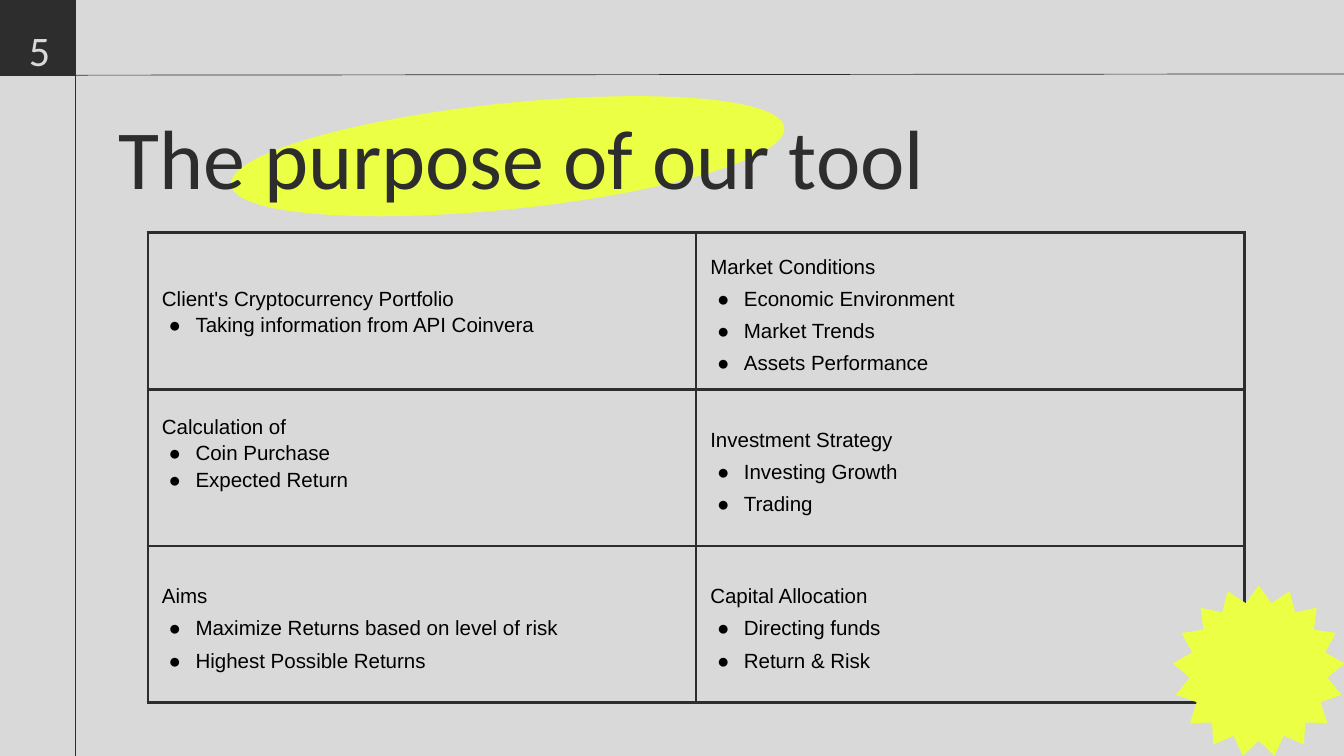
import math
from typing import NamedTuple

from pptx import Presentation
from pptx import util as u
from pptx.dml.color import RGBColor
from pptx.enum import shapes, text
from pptx.oxml import ns
from lxml import etree

DARK, PALE, LIME, BLACK = "2D2D2D", "D9D9D9", "EBFF45", "000000"


class Topic(NamedTuple):
    head: str
    items: list[str]
    gap: float = 1.4
    foot: float = 0.21


class Rule(NamedTuple):
    x1: float
    y1: float
    x2: float
    y2: float


GRID = [
    [Topic("Client's Cryptocurrency Portfolio",
           ["Taking information from API Coinvera"], 1.15),
     Topic("Market Conditions",
           ["Economic Environment", "Market Trends", "Assets Performance"])],
    [Topic("Calculation of", ["Coin Purchase", "Expected Return"], 1.15, 0.67),
     Topic("Investment Strategy", ["Investing Growth", "Trading"])],
    [Topic("Aims", ["Maximize Returns based on level of risk",
                    "Highest Possible Returns"]),
     Topic("Capital Allocation", ["Directing funds", "Return & Risk"])],
]
RULES = [Rule(1.12, 0, 1.12, 11.25), Rule(20, 1.1, 0, 1.12)]


def paint(part, code: str) -> None:
    """Give a fill, line or font a solid colour."""
    if hasattr(part, "solid"):
        part.solid()
        part.fore_color.rgb = RGBColor.from_string(code)
    else:
        part.color.rgb = RGBColor.from_string(code)


def node(up, tag: str, **attrs: str):
    return etree.SubElement(up, ns.qn(tag), attrs)


def write(para, words: str, face: str, size: float, code: str) -> None:
    run = para.add_run()
    run.text = words
    run.font.name = face
    run.font.size = u.Pt(size)
    paint(run.font, code)


def style(shape, code: str) -> None:
    shape.shadow.inherit = False
    paint(shape.fill, code)
    shape.line.fill.background()


def draw_rule(slide, rule: Rule) -> None:
    line = slide.shapes.add_connector(
        shapes.MSO_CONNECTOR.STRAIGHT, *map(u.Inches, rule))
    paint(line.line, DARK)
    line.line.width = u.Pt(0.75)
    node(line._element.spPr, "a:effectLst")


def draw_star(slide, x: float, y: float, tips: int, far: float,
              near: float) -> None:
    dots = []
    for i in range(2 * tips):
        turn, reach = math.pi * i / tips, near if i % 2 else far
        dots.append((u.Inches(x + reach * math.sin(turn)),
                     u.Inches(y - reach * math.cos(turn))))
    form = slide.shapes.build_freeform(*dots[0])
    form.add_line_segments(dots[1:], close=True)
    style(form.convert_to_shape(), LIME)


def add_label(slide, box: tuple[float, ...], words: str, size: float,
              code: str):
    frame = slide.shapes.add_textbox(*map(u.Inches, box)).text_frame
    frame.word_wrap = True
    frame.auto_size = text.MSO_AUTO_SIZE.SHAPE_TO_FIT_TEXT
    frame.margin_left = frame.margin_right = 0
    frame.margin_top = frame.margin_bottom = 0
    para = frame.paragraphs[0]
    write(para, words, "Calibri", size, code)
    return para


def add_edges(cell) -> None:
    props = cell._tc.get_or_add_tcPr()
    for i, side in enumerate("LRTB"):
        edge = node(props, f"a:ln{side}", w=str(u.Pt(3)))
        node(node(edge, "a:solidFill"), "a:srgbClr", val=DARK)
        props.insert(i, edge)


def fill_cell(cell, topic: Topic) -> None:
    cell.fill.background()
    add_edges(cell)
    cell.vertical_anchor = text.MSO_ANCHOR.MIDDLE
    cell.margin_left = cell.margin_right = cell.margin_top = u.Inches(0.21)
    cell.margin_bottom = u.Inches(topic.foot)
    frame = cell.text_frame
    for i, words in enumerate([topic.head, *topic.items]):
        para = frame.add_paragraph() if i else frame.paragraphs[0]
        para.line_spacing = topic.gap
        if i:
            props = para._p.get_or_add_pPr()
            props.set("marL", str(u.Inches(0.5)))
            props.set("indent", str(u.Inches(-0.4)))
            node(node(props, "a:buClr"), "a:srgbClr", val=BLACK)
            node(props, "a:buFont", typeface="Arial")
            node(props, "a:buChar", char="●")
        write(para, words, "Arial", 22, BLACK)


def add_grid(slide) -> None:
    wide, high = 8.16, 2.33
    rows, cols = len(GRID), len(GRID[0])
    table = slide.shapes.add_table(
        rows, cols, u.Inches(2.2), u.Inches(3.46),
        u.Inches(cols * wide), u.Inches(rows * high)).table
    table.first_row = table.horz_banding = False
    for r, row in enumerate(GRID):
        table.rows[r].height = u.Inches(high)
        for c, topic in enumerate(row):
            table.columns[c].width = u.Inches(wide)
            fill_cell(table.cell(r, c), topic)


def main() -> None:
    deck = Presentation()
    deck.slide_width, deck.slide_height = u.Inches(20), u.Inches(11.25)
    slide = deck.slides.add_slide(deck.slide_layouts[6])
    paint(slide.background.fill, PALE)

    # Highlight behind the title
    oval = slide.shapes.add_shape(
        shapes.MSO_SHAPE.OVAL, *map(u.Inches, (3.43, 1.55, 8.25, 1.55)))
    style(oval, LIME)
    paint(oval.line, LIME)
    oval.line.width = u.Pt(2)
    oval.rotation = 354.1

    # Topics
    add_grid(slide)

    # Frame lines and page number
    for rule in RULES:
        draw_rule(slide, rule)
    tab = slide.shapes.add_shape(
        shapes.MSO_SHAPE.RECTANGLE, *map(u.Inches, (0, 0, 1.12, 1.13)))
    style(tab, DARK)
    page = add_label(slide, (0.36, 0.14, 0.46, 0.76), "5", 45, PALE)
    page.alignment = text.PP_ALIGN.CENTER
    page.line_spacing = 1.3

    # Title and corner star
    add_label(slide, (1.76, 1.57, 15.91, 1.52), "The purpose of our tool",
              90, DARK)
    draw_star(slide, 18.73, 9.99, 17, 1.28, 1.03)

    deck.save("out.pptx")


if __name__ == "__main__":
    main()
